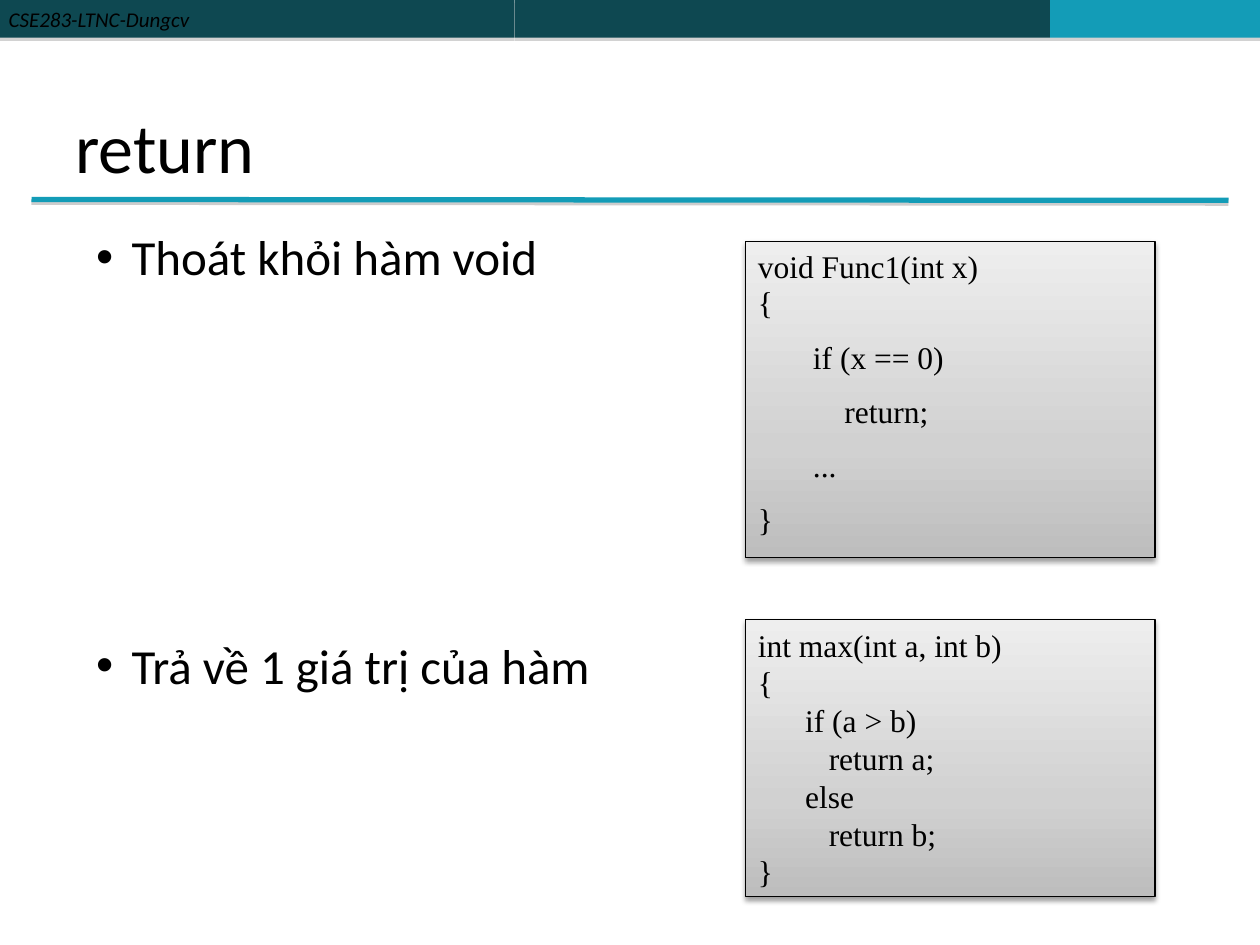
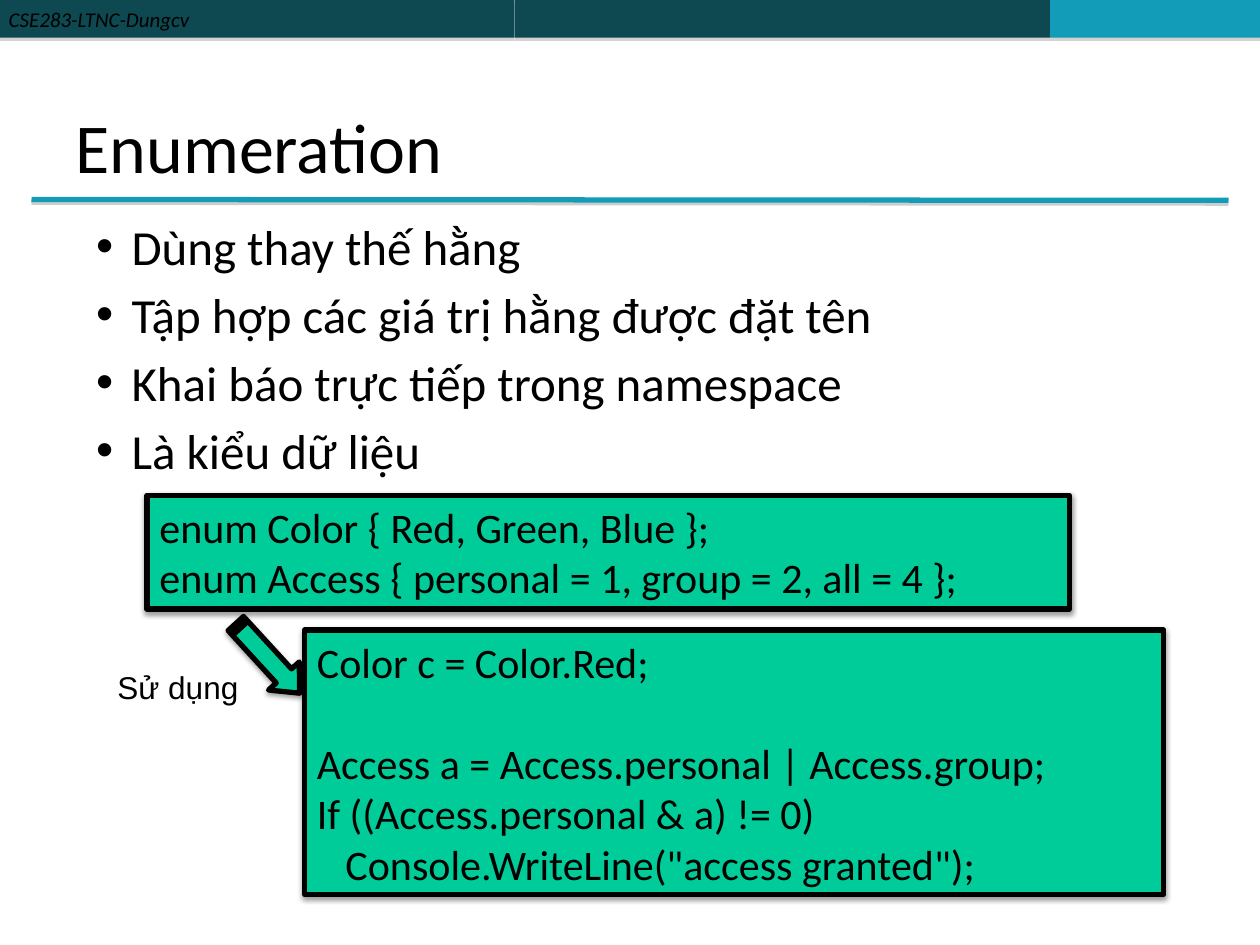
import pptx
import pptx.util
import pptx.dml.color
import pptx.enum.shapes
import pptx.enum.text
import pptx.oxml.ns
from lxml import etree

Pt = pptx.util.Pt
RGB = pptx.dml.color.RGBColor
Kind = pptx.enum.shapes.MSO_SHAPE
Anchor = pptx.enum.text.MSO_ANCHOR
Align = pptx.enum.text.PP_ALIGN
qn = pptx.oxml.ns.qn

BLACK = RGB(0x00, 0x00, 0x00)
GRAY = RGB(0x80, 0x80, 0x80)
DARK = RGB(0x0E, 0x48, 0x51)
TEAL = RGB(0x13, 0x9C, 0xB7)
GREEN = RGB(0x00, 0xCC, 0x99)
WHITE = RGB(0xFF, 0xFF, 0xFF)
STEEL = [(0, RGB(0xBD, 0xBD, 0xBD)), (35, RGB(0xD1, 0xD1, 0xD1)),
         (100, RGB(0xEE, 0xEE, 0xEE))]

SANS, SERIF, LABEL = "Calibri", "Times New Roman", "Arial"
HEADER = "CSE283-LTNC-Dungcv"
BAND = 21.6
BANDS = [(0, 294, DARK), (294, 600, DARK), (600, 720, TEAL)]


def tint(node, color, alpha=None):
    clr = etree.SubElement(node, qn("a:srgbClr"), val=str(color))
    if alpha is not None:
        etree.SubElement(clr, qn("a:alpha"), val=str(alpha * 1000))


def shade(props, color, alpha, blur, dist):
    """Cast a shadow straight down from a shape or connector."""
    effects = props.find(qn("a:effectLst"))
    if effects is None:
        effects = etree.SubElement(props, qn("a:effectLst"))
    node = etree.SubElement(effects, qn("a:outerShdw"), blurRad=str(int(Pt(blur))),
                            dist=str(int(Pt(dist))), dir="5400000", rotWithShape="0")
    tint(node, color, alpha)


def blend(shape, stops):
    """Fill a shape with colour stops running from bottom to top."""
    shape.fill.gradient()
    shape.fill.gradient_angle = 90
    slots = shape._element.spPr.find(".//" + qn("a:gsLst"))
    for old in list(slots):
        slots.remove(old)
    for pos, color in stops:
        tint(etree.SubElement(slots, qn("a:gs"), pos=str(pos * 1000)), color)


class Deck:
    def __init__(self):
        self.show = pptx.Presentation()
        self.show.slide_width, self.show.slide_height = Pt(720), Pt(540)
        self.slide = None

    def page(self, title):
        self.slide = self.show.slides.add_slide(self.show.slide_layouts[1])
        self.slide.background.fill.solid()
        self.slide.background.fill.fore_color.rgb = WHITE
        for left, right, color in BANDS:
            band = self.shape(Kind.RECTANGLE, (left, 0, right - left, BAND), color)
            shade(band._element.spPr, GRAY, 35, 0, 1.8)
            if left == 0:
                frame = band.text_frame
                frame.margin_left = frame.margin_right = Pt(5)
                frame.margin_top = frame.margin_bottom = Pt(3)
                frame.vertical_anchor = Anchor.MIDDLE
                self.say(frame.paragraphs[0], HEADER, 12).font.italic = True
        self.rule()
        head = self.slide.shapes.title
        self.place(head, (36, 8, 647, 103))
        head.text_frame.vertical_anchor = Anchor.BOTTOM
        self.say(head.text_frame.paragraphs[0], title, 40)

    def rule(self):
        line = self.slide.shapes.add_connector(
            pptx.enum.shapes.MSO_CONNECTOR.STRAIGHT, Pt(18), Pt(114), Pt(702), Pt(114.5))
        line.line.color.rgb = TEAL
        line.line.width = Pt(3)
        shade(line._element.spPr, GRAY, 38, 0, 1.6)

    def place(self, shape, area):
        shape.left, shape.top, shape.width, shape.height = map(Pt, area)

    def say(self, para, text, size, font=SANS):
        para.alignment = Align.LEFT
        run = para.add_run()
        run.text = text
        run.font.name, run.font.size = font, Pt(size)
        run.font.color.rgb = BLACK
        return run

    def lines(self, frame, items, size, font=SANS, pitch=None):
        """Add one paragraph for each (text, indent, space before)."""
        frame.word_wrap = True
        for i, (text, indent, gap) in enumerate(items):
            para = frame.add_paragraph() if i else frame.paragraphs[0]
            self.say(para, text, size, font)
            para.space_before = Pt(gap)
            if pitch:
                para.line_spacing = Pt(pitch)
            if indent:
                para._p.get_or_add_pPr().set("marL", str(int(Pt(indent))))

    def points(self, area, items):
        body = self.slide.placeholders[1]
        self.place(body, area)
        frame = body.text_frame
        frame.auto_size = pptx.enum.text.MSO_AUTO_SIZE.NONE
        self.lines(frame, [(text, 20, gap) for text, gap in items], 28)
        for para in frame.paragraphs:
            para._p.get_or_add_pPr().set("indent", str(int(Pt(-20))))

    def shape(self, kind, area, fill, width=0):
        shape = self.slide.shapes.add_shape(kind, *map(Pt, area))
        shape.shadow.inherit = False
        if isinstance(fill, list):
            blend(shape, fill)
        else:
            shape.fill.solid()
            shape.fill.fore_color.rgb = fill
        if width:
            shape.line.color.rgb = BLACK
            shape.line.width = Pt(width)
            shade(shape._element.spPr, BLACK, 38, 3.1, 1.6)
        else:
            shape.line.fill.background()
        return shape

    def code(self, area, items, fill, width, size, font=SANS, pitch=None):
        box = self.shape(Kind.RECTANGLE, area, fill, width)
        box.text_frame.vertical_anchor = Anchor.TOP
        self.lines(box.text_frame, items, size, font, pitch)

    def arrow(self, area, turn):
        arrow = self.shape(Kind.STRIPED_RIGHT_ARROW, area, GREEN, 3)
        arrow.adjustments[0], arrow.adjustments[1] = 0.5, 0.56
        arrow.rotation = turn

    def label(self, area, text):
        box = self.slide.shapes.add_textbox(*map(Pt, area))
        self.lines(box.text_frame, [(text, 0, 0)], 18, LABEL)


def main():
    deck = Deck()

    deck.page("return")
    deck.points((48, 126, 642, 354),
                [("Thoát khỏi hàm void", 5.2), ("Trả về 1 giá trị của hàm", 199.7)])
    deck.code((426, 138, 234, 180.7),
              [("void Func1(int x)", 0, 0), ("{", 0, 0), ("if (x == 0)", 31.5, 10),
               ("return;", 49.5, 10), ("...", 31.5, 10), ("}", 0, 10)],
              STEEL, 0.75, 18, SERIF, 21)
    deck.code((426, 354, 234, 158.4),
              [("int max(int a, int b)", 0, 0), ("{", 0, 0), ("if (a > b)", 27, 0),
               ("return a;", 40.5, 0), ("else", 27, 0), ("return b;", 40.5, 0),
               ("}", 0, 0)],
              STEEL, 0.75, 18, SERIF, 21.6)

    deck.page("Enumeration")
    uses = ["Dùng thay thế hằng", "Tập hợp các giá trị hằng được đặt tên",
            "Khai báo trực tiếp trong namespace", "Là kiểu dữ liệu"]
    deck.points((48, 120, 642, 336), [(text, 5.2) for text in uses])
    deck.code((84, 283, 527, 65),
              [("enum Color { Red, Green, Blue };", 0, 0),
               ("enum Access { personal = 1, group = 2, all = 4 };", 0, 0)],
              GREEN, 3, 24)
    deck.code((174, 360, 491, 151),
              [("Color c = Color.Red;", 0, 0),
               ("Access a = Access.personal | Access.group;", 0, 29),
               ("If ((Access.personal & a) != 0)", 0, 0),
               ('Console.WriteLine("access granted");', 16.3, 0)],
              GREEN, 3, 24)
    deck.arrow((126, 364.3, 54, 23.8), 47.5)
    deck.label((60, 378, 84, 29), "Sử dụng")

    deck.show.save("out.pptx")


if __name__ == "__main__":
    main()
